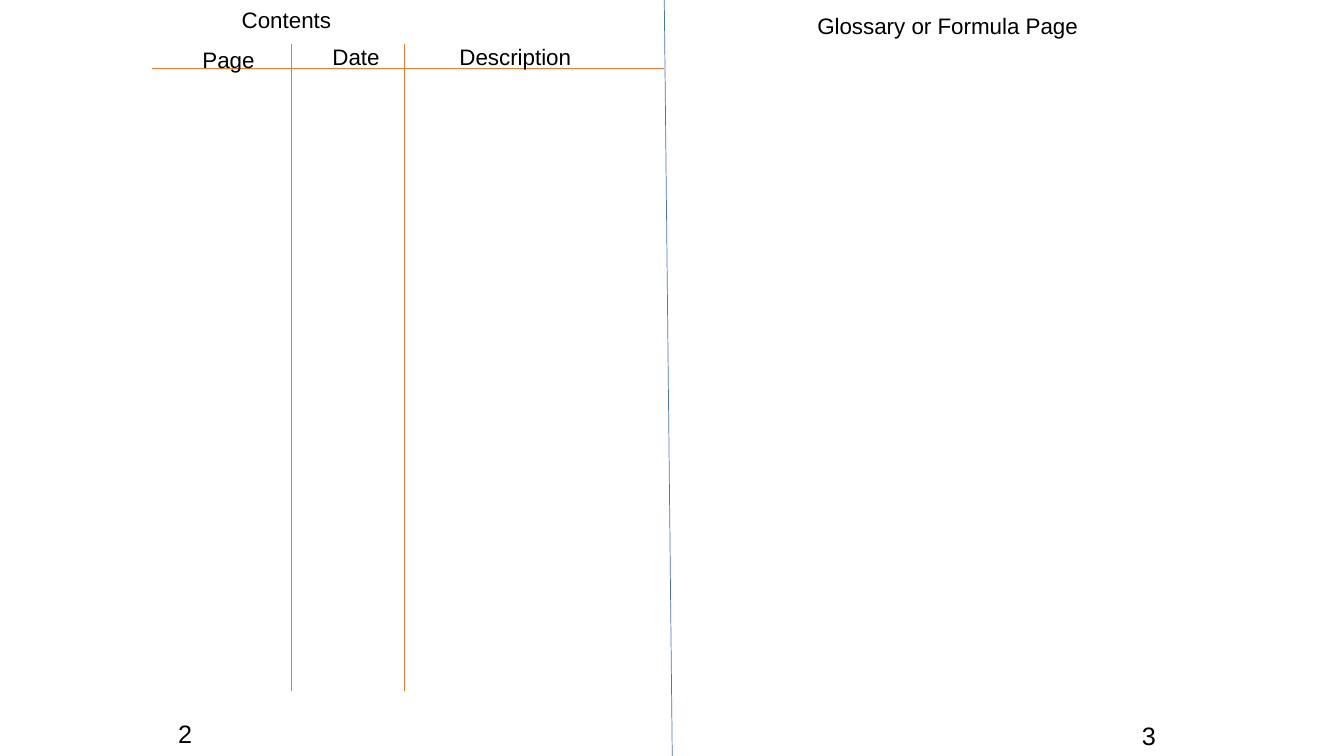
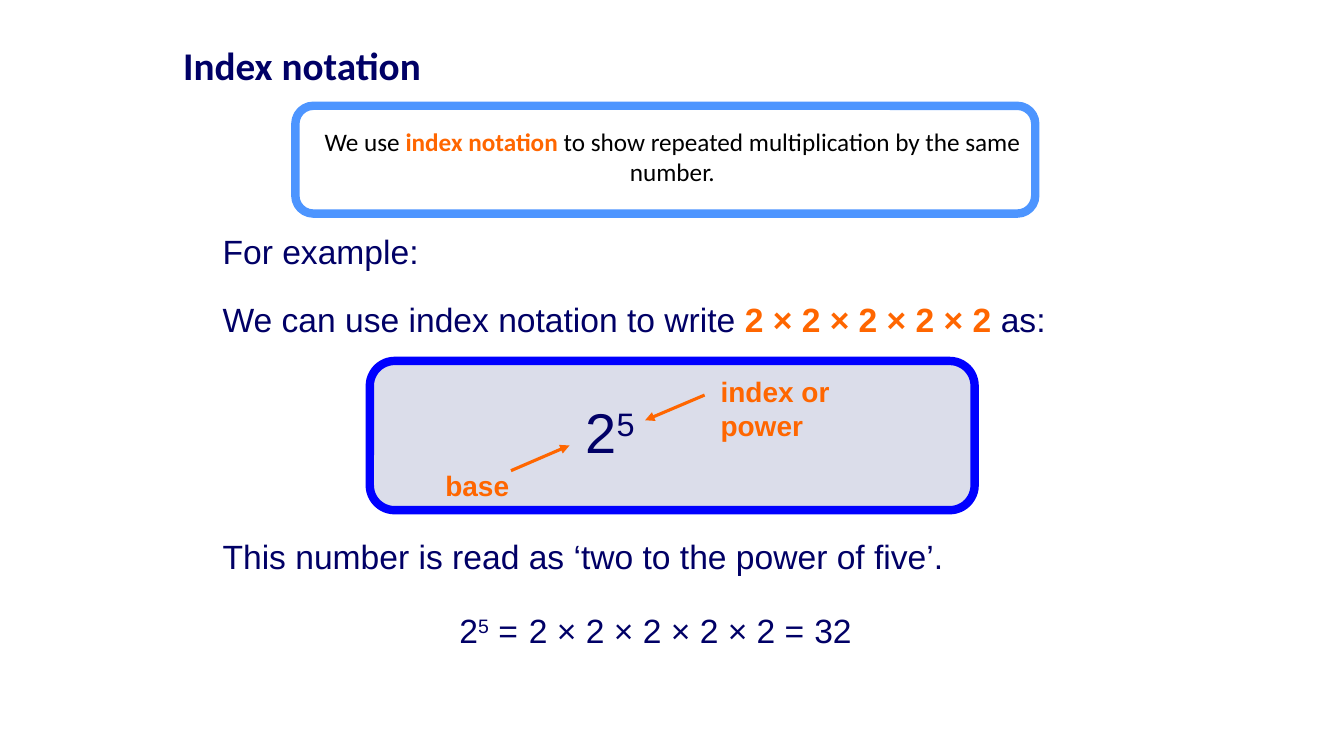
"""Build a contents spread and an index notation slide."""
from pptx import Presentation
from pptx.dml.color import RGBColor
from pptx.enum.shapes import MSO_CONNECTOR, MSO_SHAPE
from pptx.enum.text import MSO_ANCHOR, MSO_AUTO_SIZE, PP_ALIGN
from pptx.oxml.ns import qn
from pptx.util import Pt
from lxml import etree

STRAIGHT = MSO_CONNECTOR.STRAIGHT
ROUNDED = MSO_SHAPE.ROUNDED_RECTANGLE
MIDDLE = MSO_ANCHOR.MIDDLE
FIT = MSO_AUTO_SIZE.SHAPE_TO_FIT_TEXT
CENTER = PP_ALIGN.CENTER

COLORS = {
    "black": "000000", "white": "FFFFFF", "navy": "010066", "title": "000066",
    "orange": "FF6600", "spine": "4472C4", "rule": "ED7D31",
    "panel": "CFD2E3", "panel_edge": "0000FF", "note_edge": "4D95FF",
}


def rgb(name):
    return RGBColor.from_string(COLORS[name])


def add_text(s, runs, x, y, w, h, size, color="navy", font="Arial",
             bold=False, wrap=False, fit=True):
    """Add one paragraph; each run is a string or a (string, style) pair."""
    tf = s.shapes.add_textbox(Pt(x), Pt(y), Pt(w), Pt(h)).text_frame
    tf.word_wrap = wrap
    if fit:
        tf.auto_size = FIT
    p = tf.paragraphs[0]
    p.font.size = Pt(size)
    p.font.name = font
    p.font.bold = bold
    p.font.color.rgb = rgb(color)
    for run in [runs] if isinstance(runs, str) else runs:
        text, style = (run, None) if isinstance(run, str) else run
        r = p.add_run()
        r.text = text
        if style == "key":
            r.font.bold = True
            r.font.color.rgb = rgb("orange")
        elif style == "power":
            r._r.get_or_add_rPr().set("baseline", "30000")
    return tf


def add_line(s, x1, y1, x2, y2, color="rule", width=0.5, arrow=False):
    line = s.shapes.add_connector(STRAIGHT, Pt(x1), Pt(y1), Pt(x2), Pt(y2))
    line.line.color.rgb = rgb(color)
    line.line.width = Pt(width)
    if arrow:
        etree.SubElement(line.line._get_or_add_ln(), qn("a:tailEnd"), type="triangle")
    etree.SubElement(line._element.spPr, qn("a:effectLst"))


def add_panel(s, x, y, w, h, fill, edge, opacity=100):
    panel = s.shapes.add_shape(ROUNDED, Pt(x), Pt(y), Pt(w), Pt(h))
    panel.shadow.inherit = False
    panel.fill.solid()
    panel.fill.fore_color.rgb = rgb(fill)
    panel.line.color.rgb = rgb(edge)
    panel.line.width = Pt(6)
    if opacity < 100:
        color = panel._element.spPr.find(qn("a:solidFill"))[0]
        etree.SubElement(color, qn("a:alpha"), val=str(opacity * 1000))


def build_contents(s):
    add_line(s, 474.5, 0, 480.2, 540, "spine")
    add_line(s, 108.7, 49, 474.5, 49)
    for x in (208.1, 288.7):
        add_line(s, x, 31.7, x, 493.9)
    for text, x, y, w, wrap in (
        ("Contents", 165.6, 0.7, 79.2, False),
        ("Page", 137.5, 29.5, 51.8, False),
        ("Date", 230.4, 27.4, 49, False),
        ("Description", 321.1, 27.4, 110.2, True),
        ("Glossary or Formula Page", 576.7, 5, 204.5, True),
    ):
        add_text(s, text, x, y, w, 26.6, 16, "black", wrap=wrap)
    add_text(s, "2", 120.2, 509.8, 24.5, 28.8, 18, "black")
    add_text(s, "3", 808.6, 511.2, 43.2, 28.8, 18, "black", wrap=True)


def build_index_notation(s):
    product = "2 × 2 × 2 × 2 × 2"
    tf = add_text(s, "Index notation", 123.8, 3.6, 648, 90, 28, "title",
                  "Calibri", bold=True, wrap=True, fit=False)
    tf.vertical_anchor = MIDDLE
    tf.paragraphs[0].line_spacing = 0.9

    add_panel(s, 264.2, 257.8, 432, 106.6, "panel", "panel_edge", 75)
    add_panel(s, 211, 75.6, 528.5, 77, "white", "note_edge")
    tf = add_text(s, ["We use ", ("index notation", "key"),
                      " to show repeated multiplication by the same number."],
                  211, 86.4, 538.6, 64.8, 18, "black", "Calibri",
                  wrap=True, fit=False)
    tf.paragraphs[0].alignment = CENTER

    for runs, y, w in (
        ("For example:", 161.3, 154.8),
        (["We can use index notation to write ", (product, "key"), " as:"], 210.2, 602.6),
        ("This number is read as ‘two to the power of five’.", 379.4, 529.2),
    ):
        add_text(s, runs, 151.9, y, w, 36, 24)

    add_text(s, ["2", ("5", "power")], 411.1, 280.1, 51.8, 55.4, 40)
    add_text(s, "base", 311, 331.2, 60.5, 31, 20, "orange", bold=True)
    add_text(s, "index or power", 507.6, 264.2, 130, 55, 20, "orange",
             bold=True, wrap=True)
    add_line(s, 365, 336.2, 406.8, 318.2, "orange", 2.25, arrow=True)
    add_line(s, 503.3, 282.2, 460.8, 300.2, "orange", 2.25, arrow=True)

    for runs, x, w, color in (
        (["2", ("5", "power"), " ="], 321.1, 57.6, "navy"),
        (product + " =", 370.8, 211, "title"),
        ("32", 574.6, 41, "navy"),
    ):
        add_text(s, runs, x, 432, w, 36, 24, color)


def main():
    prs = Presentation()
    prs.slide_width, prs.slide_height = Pt(960), Pt(540)
    for build in (build_contents, build_index_notation):
        build(prs.slides.add_slide(prs.slide_layouts[6]))
    prs.save("out.pptx")


if __name__ == "__main__":
    main()
